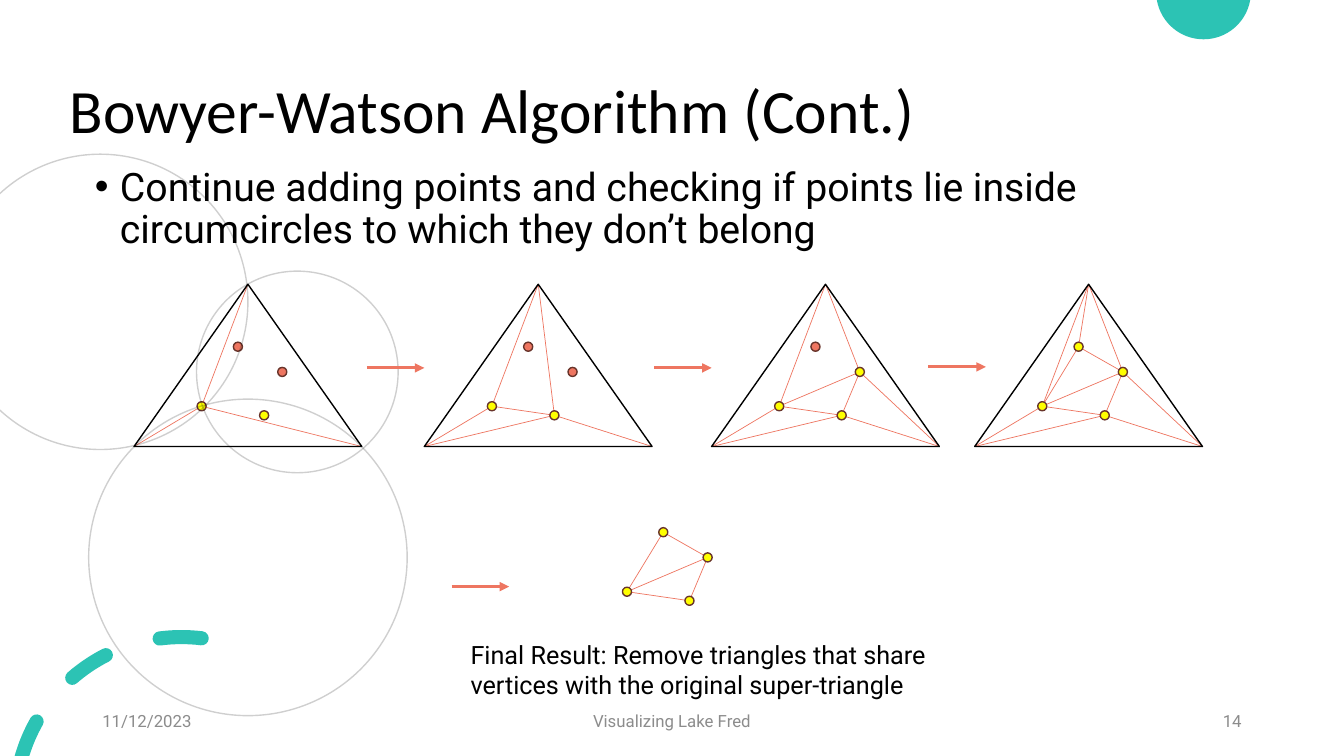
import math
from dataclasses import dataclass

import pptx
import pptx.dml.color
import pptx.enum.shapes
import pptx.enum.text
import pptx.oxml
import pptx.oxml.ns
import pptx.util

Inches = pptx.util.Inches
Pt = pptx.util.Pt
SHAPE = pptx.enum.shapes.MSO_SHAPE
ALIGN = pptx.enum.text.PP_ALIGN
ANCHOR = pptx.enum.text.MSO_ANCHOR


@dataclass(frozen=True)
class Theme:
    ink: str = "000000"
    muted: str = "8C8C8C"
    teal: str = "2CC3B4"
    coral: str = "EE7661"
    yellow: str = "FFFF00"
    dot_rim: str = "68342B"
    title_font: str = "Calibri"
    text_font: str = "Roboto"
    title_size: int = 44
    body_size: int = 28
    caption_size: int = 18
    footer_size: int = 12


THEME = Theme()
SLIDE_WIDTH, SLIDE_HEIGHT = 40 / 3, 7.5
TRIANGLE_WIDTH, TRIANGLE_HEIGHT = 2.26, 1.61
DOT_RADIUS = 0.045

# Corners and inserted points, measured from the super-triangle's top left
CORNERS = {
    "apex": (TRIANGLE_WIDTH / 2, 0),
    "base_left": (0, TRIANGLE_HEIGHT),
    "base_right": (TRIANGLE_WIDTH, TRIANGLE_HEIGHT),
}
POINTS = {"east": (1.47, 0.87), "north": (1.03, 0.62), "west": (0.67, 1.21), "south": (1.29, 1.3)}

# Edges that appear as the triangulation grows
WEST_EDGES = [("apex", "west"), ("base_left", "west")]
SOUTH_EDGES = [("south", "base_right"), ("south", "base_left"), ("west", "south")]
EAST_EDGES = [("east", "apex"), ("base_right", "east"), ("east", "south"), ("west", "east")]
NORTH_EDGES = [("north", "apex"), ("north", "west"), ("north", "east")]
THREE_POINTS = WEST_EDGES + SOUTH_EDGES + EAST_EDGES
ALL_EDGES = THREE_POINTS + NORTH_EDGES
INNER_EDGES = [edge for edge in ALL_EDGES if not set(edge) & set(CORNERS)]

# Left, top, edges, points still waiting, whether the super-triangle shows
STAGES = [
    (1.33, 2.82, WEST_EDGES + [("base_right", "west")], {"east", "north"}, True),
    (4.21, 2.82, WEST_EDGES + [("apex", "south")] + SOUTH_EDGES, {"east", "north"}, True),
    (7.06, 2.82, THREE_POINTS, {"north"}, True),
    (9.67, 2.82, ALL_EDGES, set(), True),
    (5.55, 4.66, INNER_EDGES, set(), False),
]
CIRCUMCIRCLES = [(0.88, 3.96, 3.16, 3.14), (-0.47, 1.53, 2.93, 2.93), (1.95, 2.69, 2, 2)]
ARROWS = [(3.64, 3.65), (6.49, 3.65), (9.21, 3.64), (4.48, 5.82)]
ARROW_LENGTH = 0.57


def rgb(value):
    return pptx.dml.color.RGBColor.from_string(value)


def child(parent, tag, **attributes):
    node = parent.makeelement(pptx.oxml.ns.qn(tag), attributes)
    parent.append(node)
    return node


def place(item, left, top, width, height):
    item.left, item.top = Inches(left), Inches(top)
    item.width, item.height = Inches(width), Inches(height)


def write(frame, text, size, color, font=THEME.text_font, align=ALIGN.LEFT, anchor=ANCHOR.TOP):
    frame.word_wrap = True
    frame.vertical_anchor = anchor
    paragraph = frame.paragraphs[0]
    paragraph.text = text
    paragraph.alignment = align
    paragraph.font.name = font
    paragraph.font.size = Pt(size)
    paragraph.font.color.rgb = rgb(color)
    return paragraph


def add_label(slide, box, text, size, color, **layout):
    label = slide.shapes.add_textbox(*map(Inches, box))
    write(label.text_frame, text, size, color, **layout)
    return label


def add_outline(shapes, kind, box, line, fill=None, alpha=None):
    shape = shapes.add_shape(kind, *map(Inches, box))
    shape.shadow.inherit = False
    if fill:
        shape.fill.solid()
        shape.fill.fore_color.rgb = rgb(fill)
    else:
        shape.fill.background()
    shape.line.color.rgb = rgb(line)
    shape.line.width = Pt(1)
    if alpha:
        color = shape.line._ln.find(".//" + pptx.oxml.ns.qn("a:srgbClr"))
        child(color, "a:alpha", val=str(alpha * 1000))


def add_line(shapes, start, end, width, arrow=False):
    line = shapes.add_connector(
        pptx.enum.shapes.MSO_CONNECTOR.STRAIGHT, *map(Inches, (*start, *end)))
    line.line.color.rgb = rgb(THEME.coral)
    line.line.width = Pt(width)
    if arrow:
        child(line.line._ln, "a:tailEnd", type="triangle")
    child(line._element.spPr, "a:effectLst")


def add_stage(slide, left, top, edges, waiting, framed):
    """Draw one step of the triangulation."""
    shapes = slide.shapes.add_group_shape().shapes
    spots = {name: (left + x, top + y) for name, (x, y) in {**CORNERS, **POINTS}.items()}

    def rim(name, toward):
        """Where an edge meets the dot, or the bare corner."""
        if name in CORNERS:
            return spots[name]
        (x, y), (far_x, far_y) = spots[name], spots[toward]
        share = DOT_RADIUS / math.dist(spots[name], spots[toward])
        return x + (far_x - x) * share, y + (far_y - y) * share

    for start, end in edges:
        add_line(shapes, rim(start, end), rim(end, start), 0.5)
    for name in POINTS:
        x, y = spots[name]
        box = (x - DOT_RADIUS, y - DOT_RADIUS, 2 * DOT_RADIUS, 2 * DOT_RADIUS)
        fill = THEME.coral if name in waiting else THEME.yellow
        add_outline(shapes, SHAPE.OVAL, box, THEME.dot_rim, fill)
    if framed:
        box = (left, top, TRIANGLE_WIDTH, TRIANGLE_HEIGHT)
        add_outline(shapes, SHAPE.ISOSCELES_TRIANGLE, box, THEME.ink)


def polar(center, radius, degrees):
    angle = math.radians(degrees)
    return center[0] + radius * math.cos(angle), center[1] - radius * math.sin(angle)


def arc(center, radius, start, end, pieces=1):
    """Bezier points of an arc, three a piece, after its starting point."""
    step = (end - start) / pieces
    handle = 4 / 3 * math.tan(math.radians(step) / 4)
    reach = radius * math.hypot(1, handle)
    tilt = math.degrees(math.atan(handle))
    points = []
    for i in range(pieces):
        a, b = start + i * step, start + (i + 1) * step
        points += [polar(center, reach, a + tilt), polar(center, reach, b - tilt),
                   polar(center, radius, b)]
    return points


def dash(start, end):
    """Round-ended stroke along the corner circle, cut flat at the slide's foot."""
    center, radius, half = (1.8, 7.97), 1.65, 0.07
    inner, outer = radius - half, radius + half
    inner_end = outer_end = end
    if end is None:
        inner_end, outer_end = (
            180 - math.degrees(math.asin((center[1] - SLIDE_HEIGHT) / r)) for r in (inner, outer))
    outline = [polar(center, inner, inner_end)] + arc(center, inner, inner_end, start)
    outline += arc(polar(center, radius, start), half, start + 180, start + 360, 2)
    outline += arc(center, outer, start, outer_end)
    if end is not None:
        outline += arc(polar(center, radius, end), half, end, end + 180, 2)
    return outline


def add_decoration(slide, outlines):
    outlines = [[(Inches(x), Inches(y)) for x, y in outline] for outline in outlines]
    builder = slide.shapes.build_freeform(*outlines[0][0])
    for i, outline in enumerate(outlines):
        if i:
            builder.move_to(*outline[0])
        builder.add_line_segments(outline[1:], close=True)
    shape = builder.convert_to_shape()
    # Join each three segments into one curve
    segments = list(shape._element.iter(pptx.oxml.ns.qn("a:lnTo")))
    for i in range(0, len(segments), 3):
        curve = segments[i].makeelement(pptx.oxml.ns.qn("a:cubicBezTo"), {})
        segments[i].addprevious(curve)
        for segment in segments[i:i + 3]:
            curve.append(segment[0])
            segment.getparent().remove(segment)
    shape.shadow.inherit = False
    shape.fill.solid()
    shape.fill.fore_color.rgb = rgb(THEME.teal)
    shape.line.fill.background()


def main():
    deck = pptx.Presentation()
    deck.slide_width, deck.slide_height = Inches(SLIDE_WIDTH), Inches(SLIDE_HEIGHT)
    slide = deck.slides.add_slide(deck.slide_layouts[1])

    # Teal corner decorations
    center = (11.94, -0.08)
    add_decoration(slide, [[polar(center, 0.47, 190)] + arc(center, 0.47, 190, 350, 2)])
    add_decoration(slide, [dash(*span) for span in [(150.5, None), (117, 131), (83, 97.5)]])

    # Title and bullet
    title, body = slide.placeholders
    place(title, 0.59, 0.4, 12.41, 1.45)
    heading = write(title.text_frame, "Bowyer-Watson Algorithm (Cont.)", THEME.title_size,
                    THEME.ink, font=THEME.title_font, anchor=ANCHOR.MIDDLE)
    heading.line_spacing = 0.9
    place(body, 0.84, 1.61, 11.9, 2)
    bullet = write(body.text_frame, "Continue adding points and checking if points lie inside "
                   "circumcircles to which they don’t belong", THEME.body_size, THEME.ink)
    bullet.line_spacing = 0.9
    bullet.space_before = Pt(10)
    indents = bullet._p.get_or_add_pPr()
    indents.set("marL", str(Inches(0.25)))
    indents.set("indent", str(Inches(-0.25)))

    # Triangulation steps
    for stage in STAGES:
        add_stage(slide, *stage)
    for circle in CIRCUMCIRCLES:
        add_outline(slide.shapes, SHAPE.OVAL, circle, THEME.ink, alpha=18)
    for x, y in ARROWS:
        add_line(slide.shapes, (x, y), (x + ARROW_LENGTH, y), 2.25, arrow=True)

    # Caption and footer
    caption = add_label(slide, (4.57, 6.29, 5.21, 0.71), "Final Result: Remove triangles that "
                        "share vertices with the original super-triangle",
                        THEME.caption_size, THEME.ink)
    caption.text_frame.auto_size = pptx.enum.text.MSO_AUTO_SIZE.SHAPE_TO_FIT_TEXT
    for left, width, text, align in [(11 / 12, 3, "11/12/2023", ALIGN.LEFT),
                                     (53 / 12, 4.5, "Visualizing Lake Fred", ALIGN.CENTER),
                                     (113 / 12, 3, "14", ALIGN.RIGHT)]:
        add_label(slide, (left, 6.95, width, 0.4), text, THEME.footer_size, THEME.muted,
                  align=align, anchor=ANCHOR.MIDDLE)

    deck.save("out.pptx")


if __name__ == "__main__":
    main()
